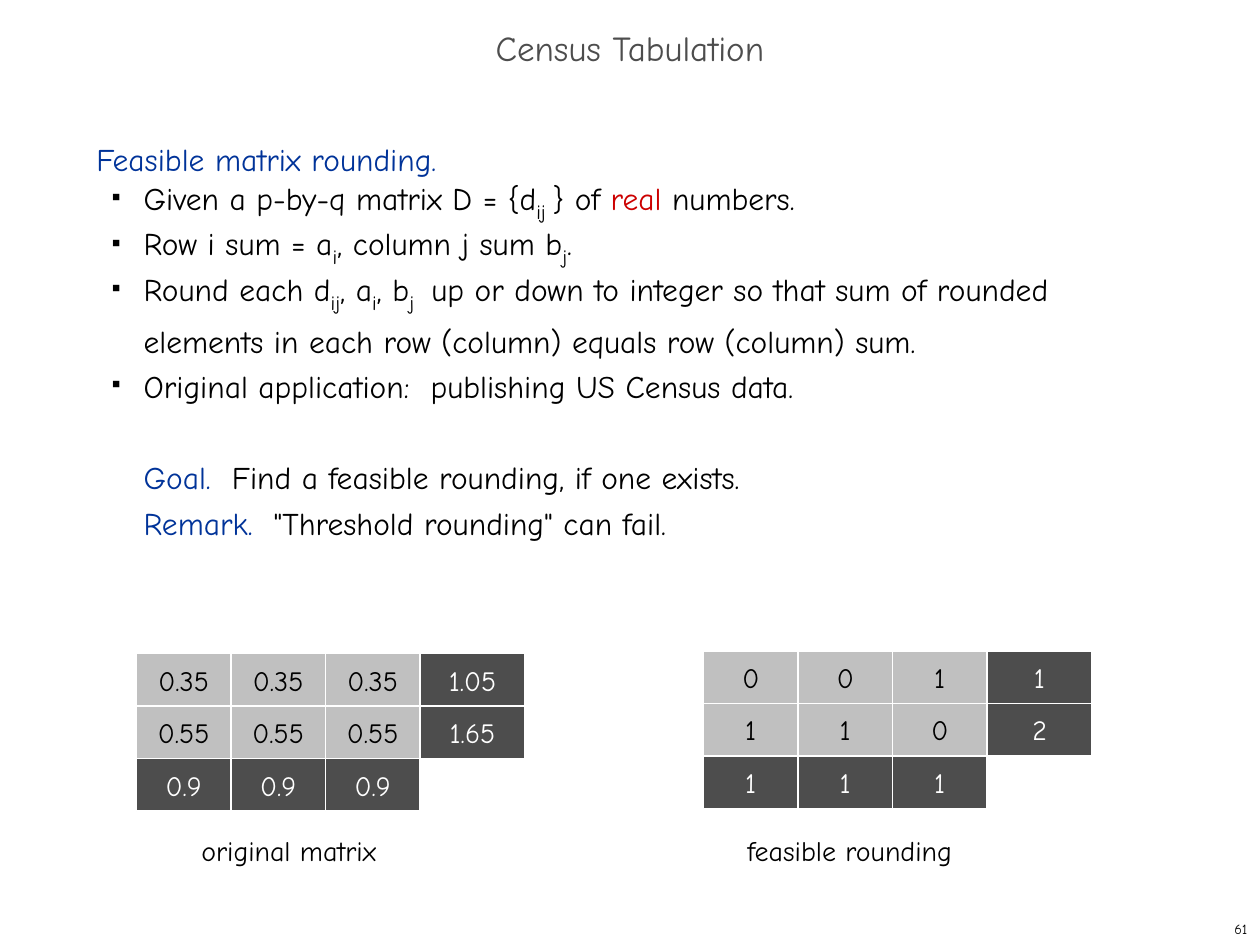
"""Build the Census Tabulation slide on feasible matrix rounding."""
from lxml.etree import SubElement
from pptx import Presentation
from pptx.dml.color import RGBColor
from pptx.enum.shapes import MSO_SHAPE
from pptx.enum.text import MSO_ANCHOR as Anchor, MSO_AUTO_SIZE as AutoSize, PP_ALIGN as Align
from pptx.oxml.ns import qn
from pptx.util import Pt

FONT = "Comic Neue"
BLACK = RGBColor(0x00, 0x00, 0x00)
WHITE = RGBColor(0xFF, 0xFF, 0xFF)
DARK = RGBColor(0x4D, 0x4D, 0x4D)
LIGHT = RGBColor(0xC0, 0xC0, 0xC0)
BLUE = RGBColor(0x00, 0x33, 0x99)
RED = RGBColor(0xCC, 0x00, 0x00)

STYLES = {
    "plain": (18, BLACK),
    "blue": (18, BLUE),
    "red": (18, RED),
    "sub": (20, BLACK),
}

TITLE = "Census Tabulation"
HEADING = [("Feasible matrix rounding.", "blue")]
BULLETS = [
    [("Given a p-by-q matrix D = {d", "plain"), ("ij ", "sub"), ("} of ", "plain"),
     ("real", "red"), (" numbers.", "plain")],
    [("Row i sum = a", "plain"), ("i", "sub"), (", column j sum b", "plain"),
     ("j", "sub"), (".", "plain")],
    [("Round each d", "plain"), ("ij", "sub"), (", a", "plain"), ("i", "sub"),
     (", b", "plain"), ("j ", "sub"),
     (" up or down to integer so that sum of rounded elements in each row (column) "
      "equals row (column) sum.", "plain")],
    [("Original application:  publishing US Census data.", "plain")],
]
CLOSING = [
    [("Goal.  ", "blue"), ("Find a feasible rounding, if one exists.", "plain")],
    [("Remark.  ", "blue"), ('"Threshold rounding" can fail.', "plain")],
]
MATRICES = [
    {
        "origin": (78, 373.5),
        "rows": [["0.35", "0.35", "0.35", "1.05"],
                 ["0.55", "0.55", "0.55", "1.65"],
                 ["0.9", "0.9", "0.9"]],
        "caption": ("original matrix", 108, 473, 174, 26.5),
    },
    {
        "origin": (402, 372),
        "rows": [["0", "0", "1", "1"],
                 ["1", "1", "0", "2"],
                 ["1", "1", "1"]],
        "caption": ("feasible rounding", 420, 472.5, 198, 26.5),
    },
]
PAGE_NUMBER = "61"

CELL_WIDTH, SUM_WIDTH, ROW_HEIGHT = 54, 60, 30
LINE_PITCH = Pt(26)
INDENT, HANGING = Pt(27), Pt(-18)


def add_run(paragraph, text, size, color):
    run = paragraph.add_run()
    run.text = text
    run.font.name = FONT
    run.font.size = Pt(size)
    run.font.color.rgb = color
    return run


def add_text_box(slide, left, top, width, height):
    box = slide.shapes.add_textbox(Pt(left), Pt(top), Pt(width), Pt(height))
    box.text_frame.word_wrap = True
    return box.text_frame


def add_bullet(paragraph):
    properties = paragraph._p.get_or_add_pPr()
    properties.set("indent", str(HANGING))
    bullet_color = SubElement(properties, qn("a:buClr"))
    SubElement(bullet_color, qn("a:srgbClr"), val=str(BLACK))
    SubElement(properties, qn("a:buSzPct"), val="35000")
    SubElement(properties, qn("a:buChar"), char="■")


def write_line(paragraph, pieces, indent=0, bulleted=False):
    paragraph.line_spacing = LINE_PITCH
    paragraph._p.get_or_add_pPr().set("marL", str(indent))
    if bulleted:
        add_bullet(paragraph)
    for text, style in pieces:
        run = add_run(paragraph, text, *STYLES[style])
        if style == "sub":
            run._r.get_or_add_rPr().set("baseline", "-25000")


def add_title(slide):
    title = slide.shapes.title
    title.left, title.top, title.width, title.height = Pt(0), Pt(12), Pt(720), Pt(36)
    frame = title.text_frame
    frame.auto_size = AutoSize.NONE
    frame.vertical_anchor = Anchor.MIDDLE
    paragraph = frame.paragraphs[0]
    paragraph.alignment = Align.CENTER
    paragraph.line_spacing = 0.7
    add_run(paragraph, TITLE, 20, DARK)


def add_body(slide):
    frame = add_text_box(slide, 48, 72, 618, 426)
    write_line(frame.paragraphs[0], HEADING)
    for pieces in BULLETS:
        write_line(frame.add_paragraph(), pieces, INDENT, bulleted=True)
    for index, pieces in enumerate(CLOSING):
        paragraph = frame.add_paragraph()
        write_line(paragraph, pieces, INDENT)
        if index == 0:
            paragraph.space_before = LINE_PITCH


def add_cell(slide, text, left, top, width, is_sum):
    cell = slide.shapes.add_shape(
        MSO_SHAPE.RECTANGLE, Pt(left), Pt(top), Pt(width), Pt(ROW_HEIGHT))
    cell.shadow.inherit = False
    cell.fill.solid()
    cell.fill.fore_color.rgb = DARK if is_sum else LIGHT
    cell.line.color.rgb = WHITE
    cell.line.width = Pt(0.75)
    frame = cell.text_frame
    frame.word_wrap = False
    frame.vertical_anchor = Anchor.MIDDLE
    paragraph = frame.paragraphs[0]
    paragraph.alignment = Align.CENTER
    add_run(paragraph, text, 16, WHITE if is_sum else BLACK)


def add_matrix(slide, matrix):
    left, top = matrix["origin"]
    rows = matrix["rows"]
    sum_row, sum_column = len(rows) - 1, len(rows[0]) - 1
    for row, values in enumerate(rows):
        for column, value in enumerate(values):
            add_cell(slide, value, left + column * CELL_WIDTH, top + row * ROW_HEIGHT,
                     SUM_WIDTH if column == sum_column else CELL_WIDTH,
                     row == sum_row or column == sum_column)
    caption, *place = matrix["caption"]
    frame = add_text_box(slide, *place)
    add_run(frame.paragraphs[0], caption, 16, BLACK)


def add_page_number(slide):
    frame = add_text_box(slide, 570, 522, 150, 18)
    frame.vertical_anchor = Anchor.MIDDLE
    paragraph = frame.paragraphs[0]
    paragraph.alignment = Align.RIGHT
    add_run(paragraph, PAGE_NUMBER, 8, BLACK)


def main():
    presentation = Presentation()
    presentation.slide_width, presentation.slide_height = Pt(720), Pt(540)
    slide = presentation.slides.add_slide(presentation.slide_layouts[5])
    add_title(slide)
    add_body(slide)
    for matrix in MATRICES:
        add_matrix(slide, matrix)
    add_page_number(slide)
    presentation.save("out.pptx")


if __name__ == "__main__":
    main()
